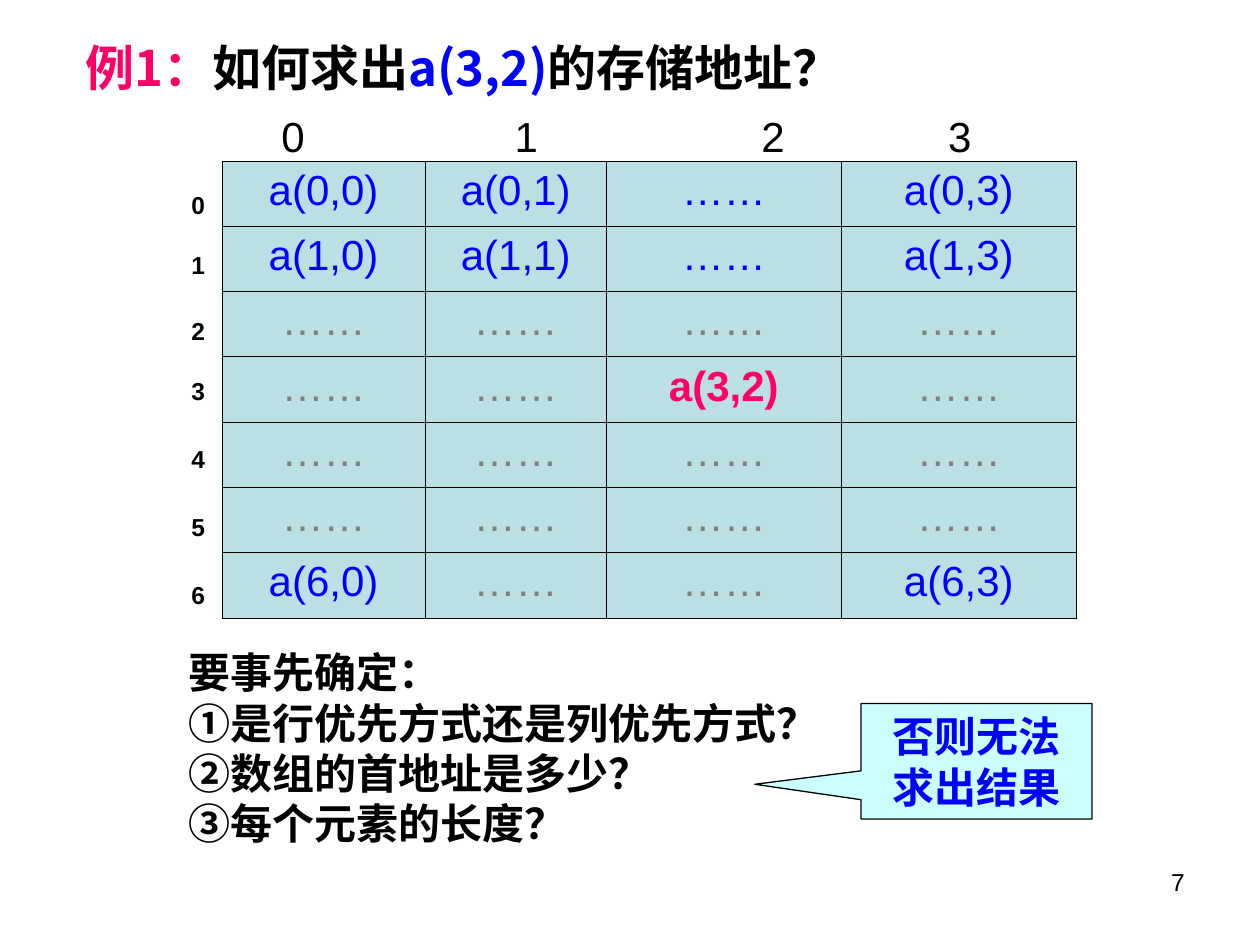
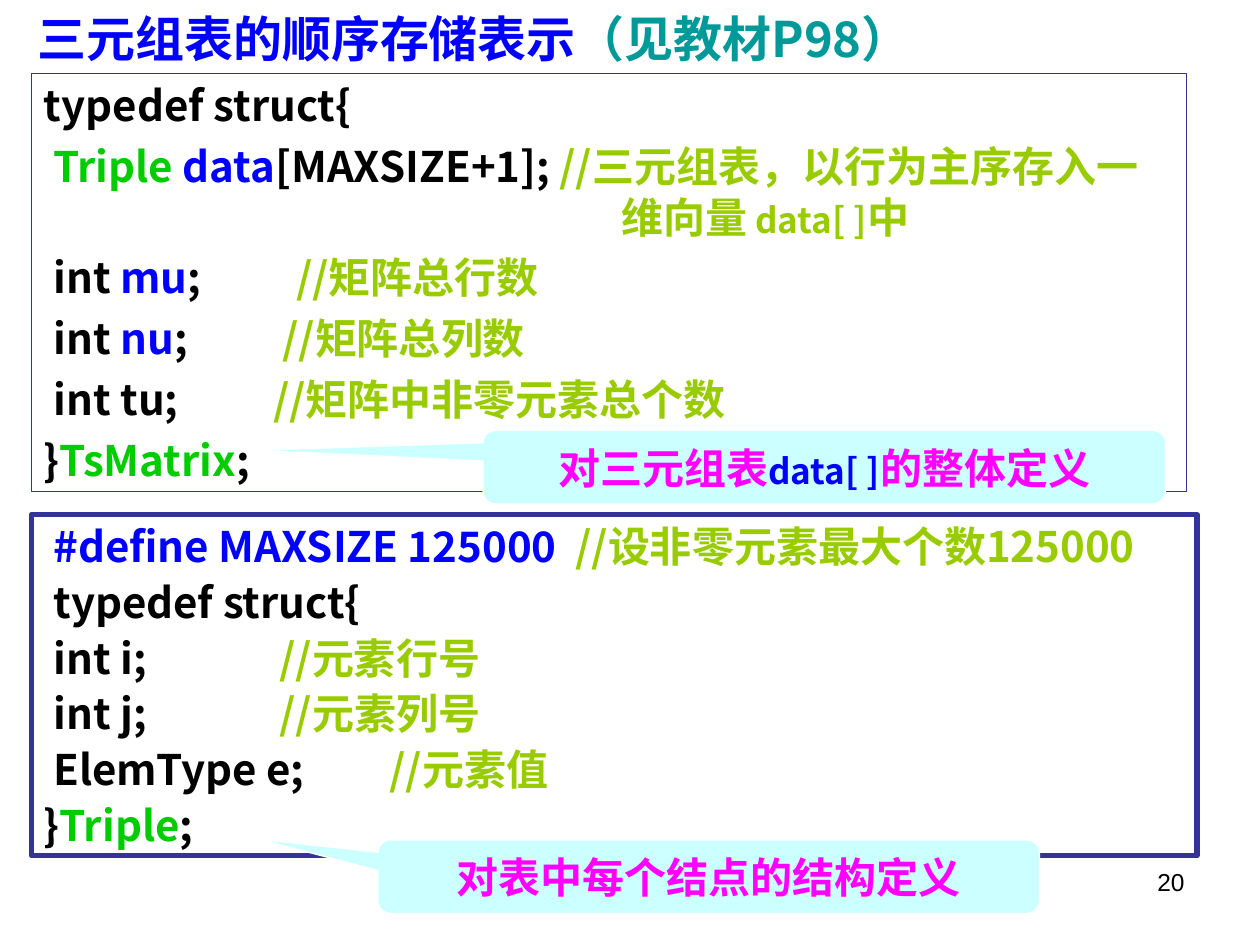
"""Build two slides on array addressing and sequential triple tables."""
import dataclasses

import lxml.etree
import pptx
import pptx.dml.color
import pptx.enum.shapes
import pptx.enum.text
import pptx.oxml.ns
import pptx.presentation
import pptx.shapes.autoshape
import pptx.slide
import pptx.table
import pptx.text.text
import pptx.util

Pt = pptx.util.Pt
qn = pptx.oxml.ns.qn
Align = pptx.enum.text.PP_ALIGN
Anchor = pptx.enum.text.MSO_ANCHOR
Preset = pptx.enum.shapes.MSO_SHAPE


@dataclasses.dataclass(frozen=True)
class Theme:
    """Colours, fonts and type sizes of the deck."""
    black: str = "000000"
    white: str = "FFFFFF"
    blue: str = "0000FF"
    pink: str = "FF0066"
    gray: str = "808080"
    green: str = "00CC00"
    lime: str = "99CC00"
    teal: str = "009999"
    magenta: str = "FF00FF"
    navy: str = "333399"
    cell: str = "BBE0E3"
    callout: str = "CCFFFF"
    sans: str = "Arial"
    serif: str = "Times New Roman"
    chinese: str = "Noto Sans CJK SC"
    title: float = 28
    body: float = 24
    small: float = 20
    note: float = 14
    no_style: str = "{2D5ABB26-0587-4C30-8999-92F81FD0307C}"


THEME = Theme()


@dataclasses.dataclass(frozen=True)
class Run:
    """A stretch of text in one format."""
    text: str
    color: str = THEME.black
    size: float = THEME.body
    font: str = THEME.chinese
    bold: bool = True
    spacing: float = 0


@dataclasses.dataclass(frozen=True)
class Line:
    """A paragraph with its layout in points."""
    runs: tuple[Run, ...]
    align: Align = Align.LEFT
    before: float = 0
    indent: float = 0
    hanging: float = 0


@dataclasses.dataclass(frozen=True)
class Box:
    """A rectangle in points."""
    left: float
    top: float
    width: float
    height: float

    def lengths(self) -> tuple[pptx.util.Length, ...]:
        """Return the four lengths in drawing order."""
        return tuple(Pt(value) for value in dataclasses.astuple(self))


@dataclasses.dataclass(frozen=True)
class Panel:
    """A preset shape with its look and text."""
    preset: Preset
    box: Box
    lines: tuple[Line, ...]
    line_color: str
    line_width: float = 0.75
    fill: str | None = None
    adjustments: tuple[float, ...] = ()
    anchor: Anchor = Anchor.MIDDLE


@dataclasses.dataclass(frozen=True)
class Grid:
    """A table given by its place, sizes and cell paragraphs."""
    left: float
    top: float
    columns: tuple[float, ...]
    rows: tuple[float, ...]
    cells: tuple[tuple[Line, ...], ...]
    fill: str | None = None
    border: float = 0


def rgb(color: str) -> pptx.dml.color.RGBColor:
    """Turn a hex colour into a colour object."""
    return pptx.dml.color.RGBColor.from_string(color)


def write(frame: pptx.text.text.TextFrame, lines: tuple[Line, ...]) -> None:
    """Write the paragraphs into a text frame."""
    for index, line in enumerate(lines):
        paragraph = frame.add_paragraph() if index else frame.paragraphs[0]
        layout = {"alignment": line.align, "space_before": Pt(line.before if index else 0)}
        for name, value in layout.items():
            setattr(paragraph, name, value)
        properties = paragraph._p.get_or_add_pPr()
        properties.set("marL", str(Pt(line.indent)))
        properties.set("indent", str(Pt(-line.hanging)))
        for part in line.runs:
            run = paragraph.add_run()
            run.text = part.text
            run.font.color.rgb = rgb(part.color)
            formats = {"name": part.font, "size": Pt(part.size), "bold": part.bold}
            for name, value in formats.items():
                setattr(run.font, name, value)
            run_properties = run._r.get_or_add_rPr()
            if part.spacing:
                run_properties.set("spc", str(round(part.spacing * 100)))
            east_asian = THEME.sans if part.font == THEME.sans else THEME.chinese
            lxml.etree.SubElement(run_properties, qn("a:ea"), typeface=east_asian)


def add_text(slide: pptx.slide.Slide, box: Box, *lines: Line) -> None:
    """Add a text box."""
    frame = slide.shapes.add_textbox(*box.lengths()).text_frame
    frame.word_wrap = True
    write(frame, lines)


def add_panel(slide: pptx.slide.Slide, panel: Panel) -> None:
    """Add a framed or filled shape with text."""
    shape = slide.shapes.add_shape(panel.preset, *panel.box.lengths())
    shape.shadow.inherit = False
    for index, value in enumerate(panel.adjustments):
        shape.adjustments[index] = value
    if panel.fill:
        shape.fill.solid()
        shape.fill.fore_color.rgb = rgb(panel.fill)
    else:
        shape.fill.background()
    shape.line.color.rgb = rgb(panel.line_color)
    shape.line.width = Pt(panel.line_width)
    shape.text_frame.word_wrap = True
    shape.text_frame.vertical_anchor = panel.anchor
    write(shape.text_frame, panel.lines)


def add_borders(cell: pptx.table._Cell, width: float) -> None:
    """Draw the four sides of a cell, ahead of its fill."""
    properties = cell._tc.get_or_add_tcPr()
    for index, side in enumerate(("a:lnL", "a:lnR", "a:lnT", "a:lnB")):
        edge = lxml.etree.Element(qn(side), w=str(Pt(width)))
        fill = lxml.etree.SubElement(edge, qn("a:solidFill"))
        lxml.etree.SubElement(fill, qn("a:srgbClr"), val=THEME.black)
        properties.insert(index, edge)


def add_grid(slide: pptx.slide.Slide, grid: Grid) -> None:
    """Add a table without a built-in style."""
    box = Box(grid.left, grid.top, sum(grid.columns), sum(grid.rows))
    frame = slide.shapes.add_table(len(grid.rows), len(grid.columns), *box.lengths())
    table = frame.table
    table.first_row = table.horz_banding = False
    next(frame.element.iter(qn("a:tableStyleId"))).text = THEME.no_style
    for column, width in zip(table.columns, grid.columns):
        column.width = Pt(width)
    for row, height, lines in zip(table.rows, grid.rows, grid.cells):
        row.height = Pt(height)
        for cell, line in zip(row.cells, lines):
            write(cell.text_frame, (line,))
            if grid.fill:
                cell.fill.solid()
                cell.fill.fore_color.rgb = rgb(grid.fill)
            else:
                cell.fill.background()
            if grid.border:
                add_borders(cell, grid.border)


def add_slide(presentation: pptx.presentation.Presentation) -> pptx.slide.Slide:
    """Add a blank slide."""
    return presentation.slides.add_slide(presentation.slide_layouts[6])


def add_page_number(slide: pptx.slide.Slide, number: int) -> None:
    """Add the page number at the lower right."""
    run = Run(str(number), size=THEME.note, font=THEME.sans, bold=False)
    add_text(slide, Box(516, 492, 168, 37.5), Line((run,), Align.RIGHT))


def title(text: str, color: str = THEME.black) -> Run:
    """Return a run in title size."""
    return Run(text, color, THEME.title)


def remark(text: str, size: float = THEME.body) -> Run:
    """Return a run of a code comment."""
    return Run(text, THEME.lime, size)


def gap(spacing: float, font: str = THEME.chinese) -> Run:
    """Return one space widened by the spacing in points."""
    return Run(" ", font=font, bold=False, spacing=spacing)


def element_line(text: str) -> Line:
    """Return the paragraph of one array element."""
    color = THEME.blue if text.startswith("a") else THEME.gray
    target = text == "a(3,2)"
    run = Run(text, THEME.pink if target else color, font=THEME.sans, bold=target)
    return Line((run,), Align.CENTER)


def build_address_slide(presentation: pptx.presentation.Presentation) -> None:
    """Build the slide that asks for an element's address."""
    slide = add_slide(presentation)
    dots = "……"
    named = {(0, 0), (0, 1), (0, 3), (1, 0), (1, 1), (1, 3), (3, 2), (6, 0), (6, 3)}
    cells = [[element_line(f"a({row},{column})" if (row, column) in named else dots)
              for column in range(4)] for row in range(7)]
    for row in (0, 1):
        run = dataclasses.replace(cells[row][2].runs[0], color=THEME.blue)
        cells[row][2] = Line((run,), Align.CENTER)
    add_grid(slide, Grid(126.9, 92.3, (116, 103.6, 134.3, 134.3), (37.2,) * 6 + (38.2,),
                         cells, THEME.cell, 0.45))

    heads = [Run(str(column), font=THEME.sans, bold=False) for column in range(4)]
    head_lines = (Line((heads[0],), indent=26.7), Line((heads[1],)),
                  Line((heads[2], gap(86.7, THEME.sans), heads[3])))
    add_grid(slide, Grid(126.9, 62, (160, 141, 187), (38,), (head_lines,)))

    labels = [(Line((Run(str(row), size=THEME.note, font=THEME.sans),)),) for row in range(7)]
    add_grid(slide, Grid(102.2, 106, (30,), (34.5, 37.5, 34.5) + (39,) * 4, labels))

    add_text(slide, Box(42, 18, 440, 41), Line((
        title("例1：", THEME.pink), title("如何求出"),
        title("a(3,2)", THEME.blue), title("的存储地址？"))))
    questions = ("要事先确定：", "①是行优先方式还是列优先方式？",
                 "②数组的首地址是多少？", "③每个元素的长度？")
    add_text(slide, Box(100.6, 366, 436, 122), *(Line((Run(text),)) for text in questions))
    warning = Run("否则无法求出结果", THEME.blue, font=THEME.serif)
    add_panel(slide, Panel(
        Preset.RECTANGULAR_CALLOUT, Box(492, 402, 132, 66), (Line((warning,), Align.CENTER),),
        THEME.black, fill=THEME.callout, adjustments=(-0.96, 0.2)))
    add_page_number(slide, 7)


def code_panel(box: Box, width: float, *lines: Line) -> Panel:
    """Return a framed code listing."""
    return Panel(Preset.RECTANGLE, box, lines, THEME.navy, width, anchor=Anchor.TOP)


def code_callout(box: Box, tip: tuple[float, float], *runs: Run) -> Panel:
    """Return a rounded callout on a code listing."""
    return Panel(Preset.ROUNDED_RECTANGULAR_CALLOUT, box, (Line(runs, Align.CENTER),),
                 THEME.white, fill=THEME.callout, adjustments=(*tip, 0.17))


def build_triple_slide(presentation: pptx.presentation.Presentation) -> None:
    """Build the slide with the two struct definitions."""
    slide = add_slide(presentation)
    matrix_lines = (
        Line((Run("typedef struct{"),)),
        Line((Run(" Triple ", THEME.green), Run("data", THEME.blue), Run("[MAXSIZE+1]; "),
              remark("//三元组表，以行为主序存入一维向量"), remark(" data[ ]", THEME.small),
              remark("中")), before=6, indent=330, hanging=330),
        Line((Run(" int "), Run("mu", THEME.blue), Run(";"), gap(48.8),
              remark("//矩阵总行数")), before=6),
        Line((Run(" int"), Run(" nu", THEME.blue), Run(";"), gap(48.8),
              remark("//矩阵总列数")), before=6),
        Line((Run(" int tu;"), gap(48.8), remark("//矩阵中非零元素总个数")), before=6),
        Line((Run("}"), Run("TsMatrix", THEME.green), Run(";")), before=6),
    )
    triple_lines = (
        Line((Run(" #define MAXSIZE 125000", THEME.blue), gap(5.4),
              remark("//设非零元素最大个数125000"))),
        Line((Run(" typedef struct{"),), before=3),
        Line((Run(" int i;"), gap(70.5), remark("//元素行号")), before=3),
        Line((Run(" int j;"), gap(70.5), remark("//元素列号")), before=3),
        Line((Run(" ElemType e;"), gap(43.4), remark("//元素值")), before=3),
        Line((Run("}"), Run("Triple", THEME.green), Run(";")), before=3),
    )
    add_panel(slide, code_panel(Box(18, 42, 660, 239), 0.75, *matrix_lines))
    add_text(slide, Box(14.4, 1.5, 570, 41), Line((
        title("三元组表的顺序存储表示", THEME.blue), title("（见教材P98）", THEME.teal))))
    add_panel(slide, code_callout(
        Box(276, 246, 390, 42), (-0.83, -0.23),
        Run("对三元组表", THEME.magenta, font=THEME.serif),
        Run("data[ ]", THEME.blue, THEME.small),
        Run("的整体定义", THEME.magenta, font=THEME.serif)))
    add_panel(slide, code_panel(Box(18, 294, 666, 195), 3, *triple_lines))
    add_panel(slide, code_callout(
        Box(216, 480, 378, 42), (-0.68, -0.51),
        Run("对表中每", THEME.magenta, font=THEME.serif),
        Run("个结点的结构定义", THEME.magenta)))
    add_page_number(slide, 20)


def main() -> None:
    """Build and save the presentation."""
    presentation = pptx.Presentation()
    presentation.slide_width = Pt(720)
    presentation.slide_height = Pt(540)
    build_address_slide(presentation)
    build_triple_slide(presentation)
    presentation.save("out.pptx")


if __name__ == "__main__":
    main()
